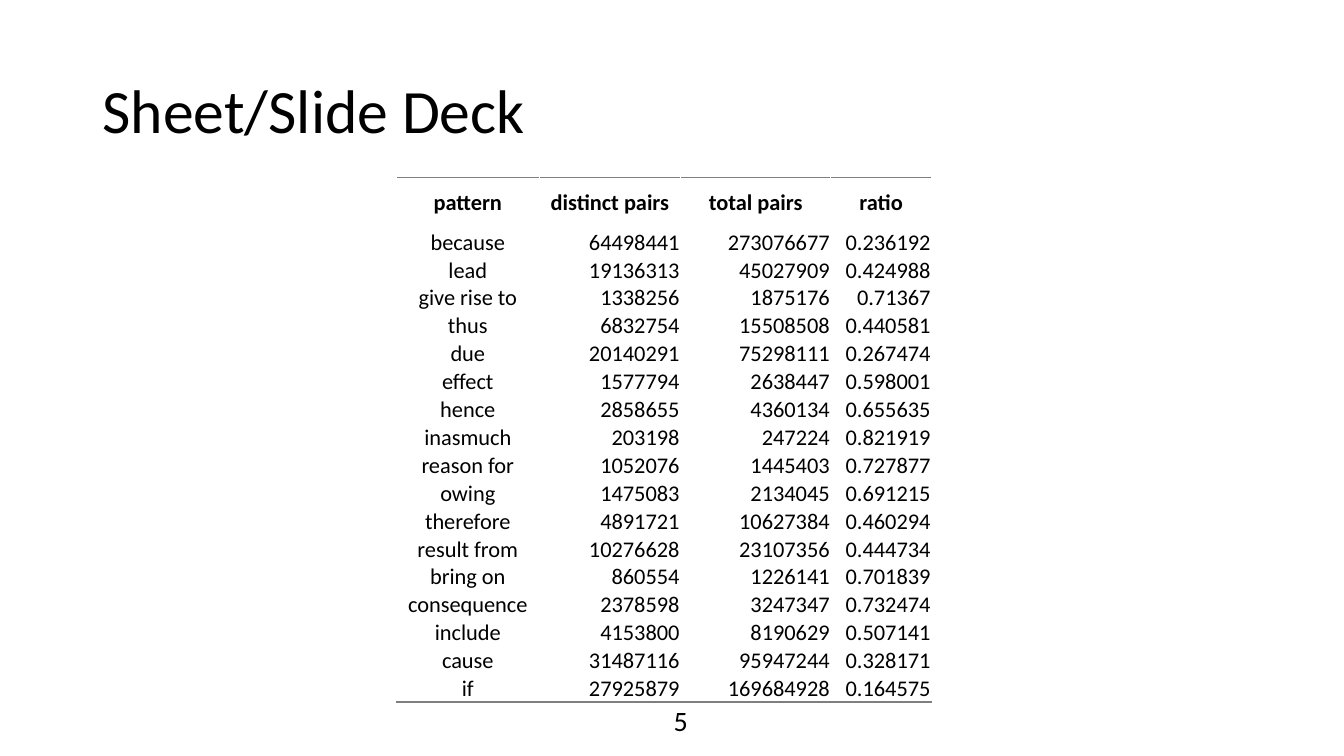
"""Build a slide with a table of causal patterns and their pair counts."""
from lxml import etree
from pptx import Presentation
from pptx.dml.color import RGBColor
from pptx.enum.text import MSO_ANCHOR, PP_ALIGN
from pptx.oxml.ns import qn
from pptx.util import Pt

PX = 9144
FONT = "Calibri"
BLACK = RGBColor(0x00, 0x00, 0x00)
RULE_GRAY = RGBColor(0x7F, 0x7F, 0x7F)
MIDDLE = MSO_ANCHOR.MIDDLE
LEFT, CENTER, RIGHT = PP_ALIGN.LEFT, PP_ALIGN.CENTER, PP_ALIGN.RIGHT

COLUMN_WIDTHS = [142, 140, 149, 100]
HEADER_HEIGHT, ROW_HEIGHT = 50, 27
ROWS = [
    ("pattern", "distinct pairs", "total pairs", "ratio"),
    ("because", "64498441", "273076677", "0.236192"),
    ("lead", "19136313", "45027909", "0.424988"),
    ("give rise to", "1338256", "1875176", "0.71367"),
    ("thus", "6832754", "15508508", "0.440581"),
    ("due", "20140291", "75298111", "0.267474"),
    ("effect", "1577794", "2638447", "0.598001"),
    ("hence", "2858655", "4360134", "0.655635"),
    ("inasmuch", "203198", "247224", "0.821919"),
    ("reason for", "1052076", "1445403", "0.727877"),
    ("owing", "1475083", "2134045", "0.691215"),
    ("therefore", "4891721", "10627384", "0.460294"),
    ("result from", "10276628", "23107356", "0.444734"),
    ("bring on", "860554", "1226141", "0.701839"),
    ("consequence", "2378598", "3247347", "0.732474"),
    ("include", "4153800", "8190629", "0.507141"),
    ("cause", "31487116", "95947244", "0.328171"),
    ("if", "27925879", "169684928", "0.164575"),
]


def write(paragraph, text, size, alignment, bold=False):
    paragraph.text = text
    paragraph.alignment = alignment
    paragraph.font.name = FONT
    paragraph.font.size = Pt(size)
    paragraph.font.bold = bold
    paragraph.font.color.rgb = BLACK


def add_rule(cell, side):
    line = etree.Element(qn(f"a:{side}"), w=str(Pt(1)))
    fill = etree.SubElement(line, qn("a:solidFill"))
    etree.SubElement(fill, qn("a:srgbClr"), val=str(RULE_GRAY))
    cell._tc.get_or_add_tcPr().insert(0, line)


presentation = Presentation()
presentation.slide_width = 1333 * PX
presentation.slide_height = 750 * PX
slide = presentation.slides.add_slide(presentation.slide_layouts[6])

for text, left, top, width, height, size, alignment, spacing in [
    ("Sheet/Slide Deck", 92, 40, 1150, 145, 44, LEFT, 0.9),
    ("5", 392, 695, 300, 40, 20, RIGHT, 1.0),
]:
    box = slide.shapes.add_textbox(left * PX, top * PX, width * PX, height * PX)
    box.text_frame.word_wrap = True
    box.text_frame.vertical_anchor = MIDDLE
    paragraph = box.text_frame.paragraphs[0]
    write(paragraph, text, size, alignment)
    paragraph.line_spacing = spacing

last_row = len(ROWS) - 1
table_height = HEADER_HEIGHT + last_row * ROW_HEIGHT
table = slide.shapes.add_table(
    len(ROWS), len(COLUMN_WIDTHS),
    393 * PX, 176 * PX, sum(COLUMN_WIDTHS) * PX, table_height * PX,
).table
table.first_row = False
table.horz_banding = False
for column, width in zip(table.columns, COLUMN_WIDTHS):
    column.width = width * PX

for row_index, values in enumerate(ROWS):
    is_header = row_index == 0
    table.rows[row_index].height = (HEADER_HEIGHT if is_header else ROW_HEIGHT) * PX
    for column_index, value in enumerate(values):
        cell = table.cell(row_index, column_index)
        cell.margin_left = cell.margin_right = cell.margin_top = PX
        cell.margin_bottom = 0
        cell.vertical_anchor = MIDDLE
        cell.fill.background()
        alignment = CENTER if is_header or column_index == 0 else RIGHT
        write(cell.text_frame.paragraphs[0], value, 16, alignment, is_header)
        if is_header:
            add_rule(cell, "lnT")
        elif row_index == last_row:
            add_rule(cell, "lnB")

presentation.save("out.pptx")
